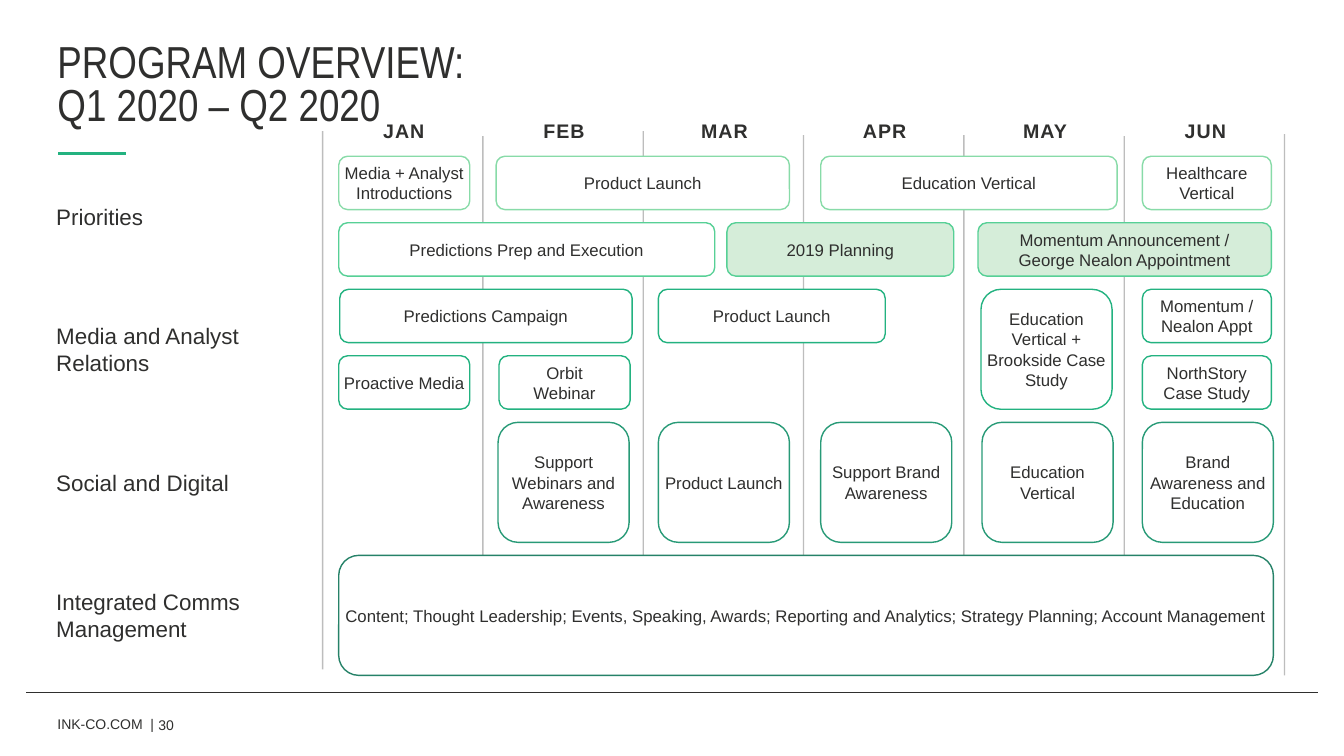
from pptx import Presentation
from pptx.dml.color import RGBColor
from pptx.enum import shapes, text
from pptx.oxml.ns import qn
from pptx.util import Inches, Pt
from lxml import etree

INK = "2F2F2E"
WHITE, MINT = "FFFFFF", "D5EDD9"


def style(frame, size, color=INK, align=None, font="Arial"):
    frame.word_wrap = True
    frame.vertical_anchor = text.MSO_ANCHOR.MIDDLE
    frame.margin_left = frame.margin_right = 0
    for para in frame.paragraphs:
        para.alignment = align
        for run in para.runs:
            run.font.size = Pt(size)
            run.font.name = font
            run.font.color.rgb = RGBColor.from_string(color)


def rule(x1, y1, x2, y2, color, width):
    line = slide.shapes.add_connector(
        shapes.MSO_CONNECTOR.STRAIGHT, Inches(x1), Inches(y1), Inches(x2), Inches(y2))
    line.line.color.rgb = RGBColor.from_string(color)
    line.line.width = Pt(width)
    etree.SubElement(line._element.spPr, qn("a:effectLst"))
    return line


deck = Presentation()
deck.slide_width, deck.slide_height = Inches(13.33), Inches(7.5)
slide = deck.slides.add_slide(deck.slide_layouts[5])
center = text.PP_ALIGN.CENTER

# Title and footer
title = slide.shapes.title
title.left, title.top = Inches(0.57), Inches(0.4)
title.width, title.height = Inches(12.24), Inches(0.93)
title.text_frame.text = "PROGRAM OVERVIEW:\vQ1 2020 – Q2 2020"
style(title.text_frame, 32, align=text.PP_ALIGN.LEFT, font="Arial Narrow")
title.text_frame.margin_top = title.text_frame.margin_bottom = 0
title.text_frame.paragraphs[0].line_spacing = 0.8

rule(0.26, 6.87, 13.07, 6.87, INK, 1)
rule(0.58, 1.52, 1.25, 1.52, "23B280", 2)
for x, y, w, h, words in [(0.57, 6.98, 1.04, 0.4, "INK-CO.COM  |"),
                          (1.57, 7.04, 1.18, 0.3, "30")]:
    foot = slide.shapes.add_textbox(Inches(x), Inches(y), Inches(w), Inches(h))
    foot.text_frame.text = words
    style(foot.text_frame, 10)
    foot.text_frame.margin_top = foot.text_frame.margin_bottom = 0

# Month grid
STEP = 1.59
ends = [(1.3, 6.64), (1.35, 6.62), (1.3, 6.64), (1.34, 6.62),
        (1.34, 6.62), (1.35, 6.62), (1.33, 6.7)]
for i, (top, bottom) in enumerate(ends):
    x = 3.2 + STEP * i
    grid = rule(x, top, x, bottom, "262626", 1)
    shade = grid._element.spPr.find(".//" + qn("a:srgbClr"))
    etree.SubElement(shade, qn("a:alpha"), val="29000")

for i, name in enumerate(["JAN", "FEB", "MAR", "APR", "MAY", "JUN"]):
    month = slide.shapes.add_textbox(
        Inches(3.37 + STEP * i), Inches(1.13), Inches(1.27), Inches(0.34))
    month.text_frame.text = name
    style(month.text_frame, 14, align=center)
    font = month.text_frame.paragraphs[0].runs[0].font
    font.bold = True
    font._element.set("spc", "70")

# Boxes: row, rows spanned, left, width, fill, line, words
TOP, PITCH, HIGH = 1.55, 0.66, 0.53
boxes = [
    (0, 1, 3.36, 1.3, WHITE, "88DBA8", "Media + Analyst Introductions"),
    (0, 1, 4.92, 2.91, WHITE, "88DBA8", "Product Launch"),
    (0, 1, 8.14, 2.94, WHITE, "88DBA8", "Education Vertical"),
    (0, 1, 11.33, 1.28, WHITE, "88DBA8", "Healthcare Vertical"),
    (1, 1, 3.36, 3.73, WHITE, "57D096", "Predictions Prep and Execution"),
    (1, 1, 7.21, 2.25, MINT, "57D096", "2019 Planning"),
    (1, 1, 9.7, 2.91, MINT, "57D096",
     "Momentum Announcement /\nGeorge Nealon Appointment"),
    (2, 1, 3.37, 2.9, WHITE, "23B280", "Predictions Campaign"),
    (2, 1, 6.53, 2.25, WHITE, "23B280", "Product Launch"),
    (2, 2, 9.73, 1.3, WHITE, "23B280", "Education Vertical + Brookside Case Study"),
    (2, 1, 11.33, 1.28, WHITE, "23B280", "Momentum / Nealon Appt"),
    (3, 1, 3.36, 1.3, WHITE, "23B280", "Proactive Media"),
    (3, 1, 4.95, 1.3, WHITE, "23B280", "Orbit\nWebinar"),
    (3, 1, 11.33, 1.28, WHITE, "23B280", "NorthStory\nCase Study"),
    (4, 2, 4.94, 1.3, WHITE, "289A77", "Support Webinars and Awareness"),
    (4, 2, 6.53, 1.3, WHITE, "289A77", "Product Launch"),
    (4, 2, 8.14, 1.3, WHITE, "289A77", "Support Brand Awareness"),
    (4, 2, 9.74, 1.3, WHITE, "289A77", "Education\nVertical"),
    (4, 2, 11.33, 1.3, WHITE, "289A77", "Brand Awareness and Education"),
    (6, 2, 3.36, 9.27, WHITE, "268268",
     "Content; Thought Leadership; Events, Speaking, Awards; Reporting and "
     "Analytics; Strategy Planning; Account Management"),
]
labels = ["Priorities", "Media and Analyst Relations", "Social and Digital",
          "Integrated Comms Management"]
boxes += [(2 * i, 2, 0.5, 1.98, None, None, name) for i, name in enumerate(labels)]

for row, span, x, w, fill, edge, words in boxes:
    box = slide.shapes.add_shape(
        shapes.MSO_SHAPE.ROUNDED_RECTANGLE, Inches(x), Inches(TOP + PITCH * row),
        Inches(w), Inches(HIGH + PITCH * (span - 1)))
    box.shadow.inherit = False
    box.text_frame.text = words
    if fill:
        box.fill.solid()
        box.fill.fore_color.rgb = RGBColor.from_string(fill)
        box.line.color.rgb = RGBColor.from_string(edge)
        box.line.width = Pt(1)
        style(box.text_frame, 12, align=center)
    else:
        box.fill.background()
        box.line.fill.background()
        style(box.text_frame, 16, align=text.PP_ALIGN.LEFT)

deck.save("out.pptx")
